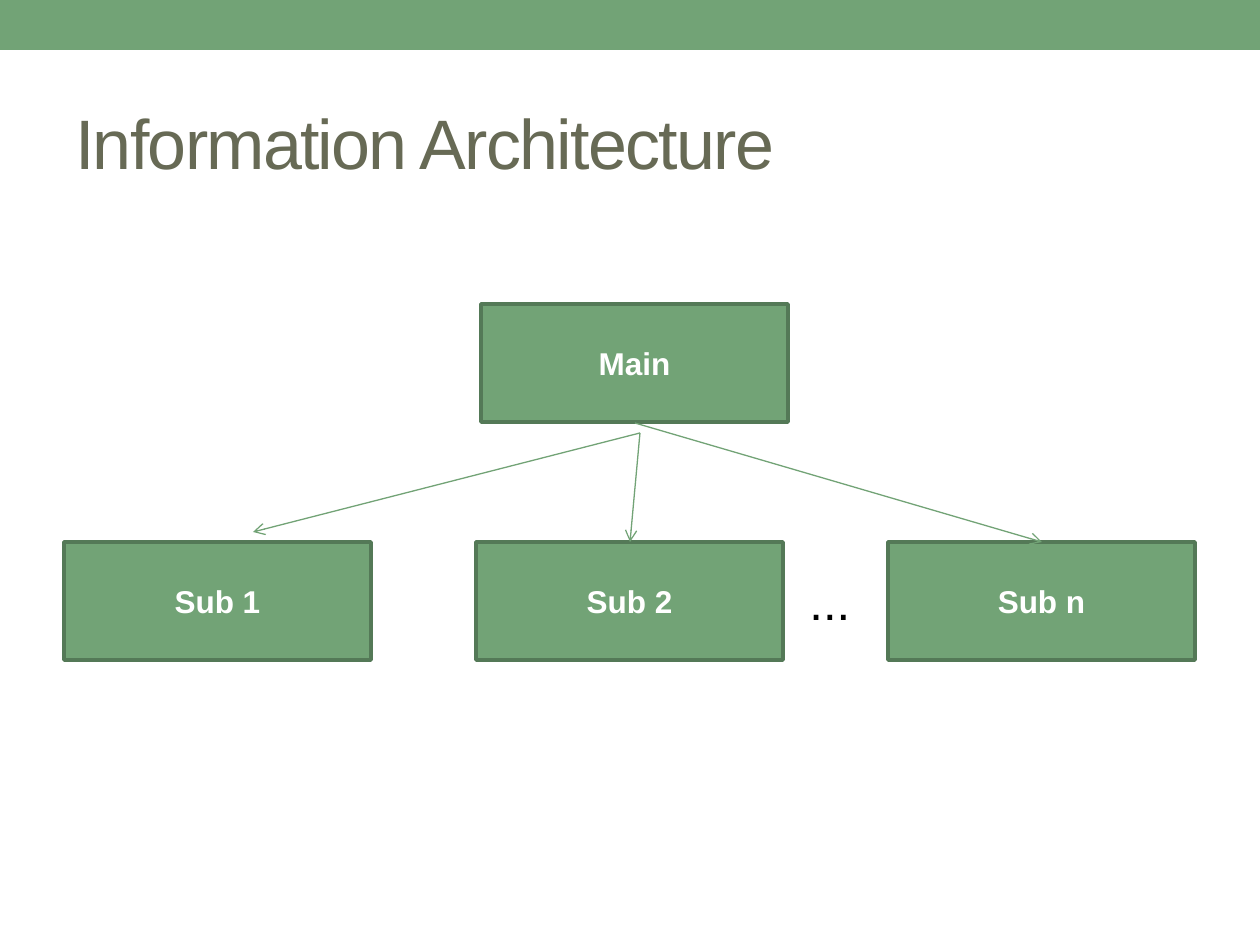
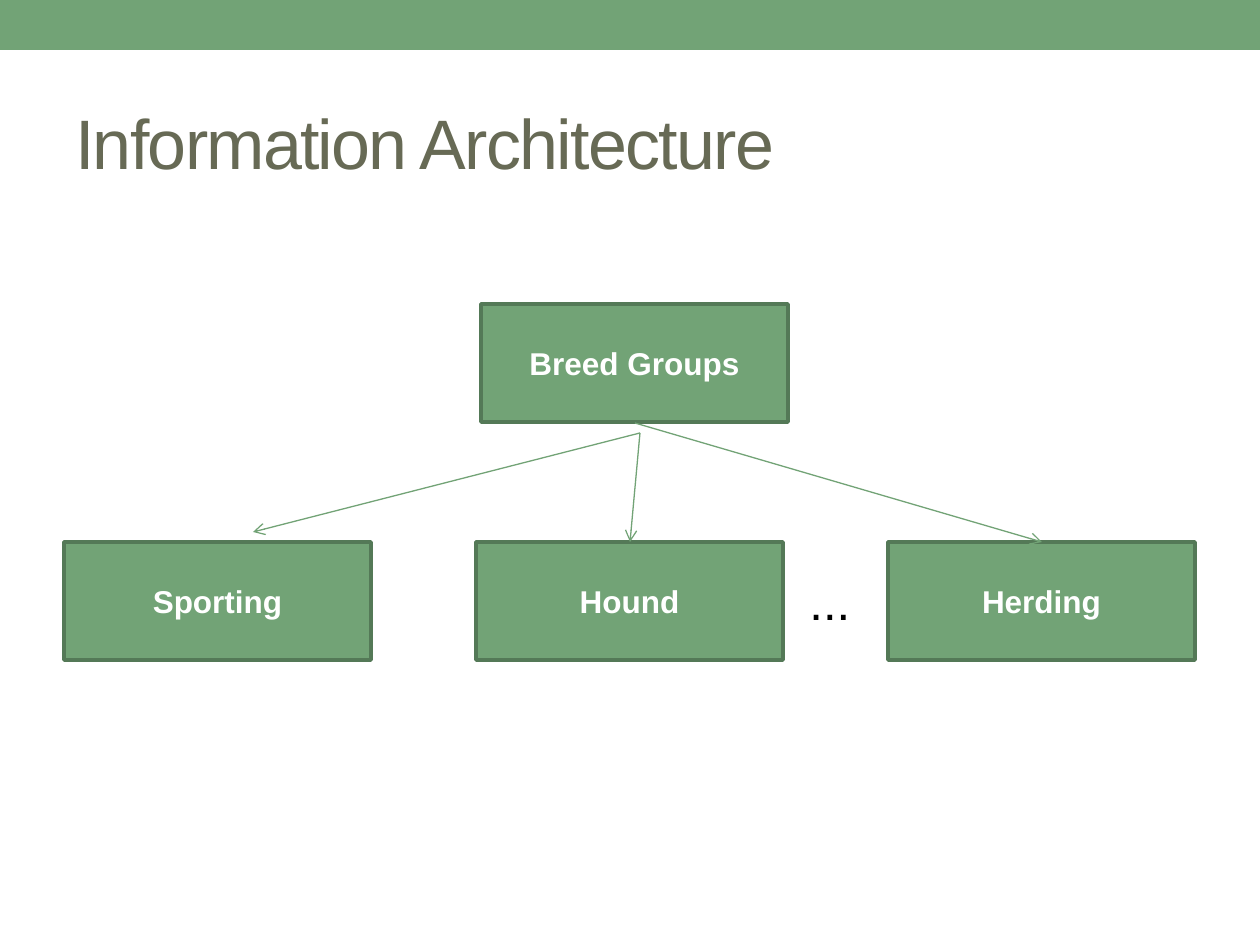
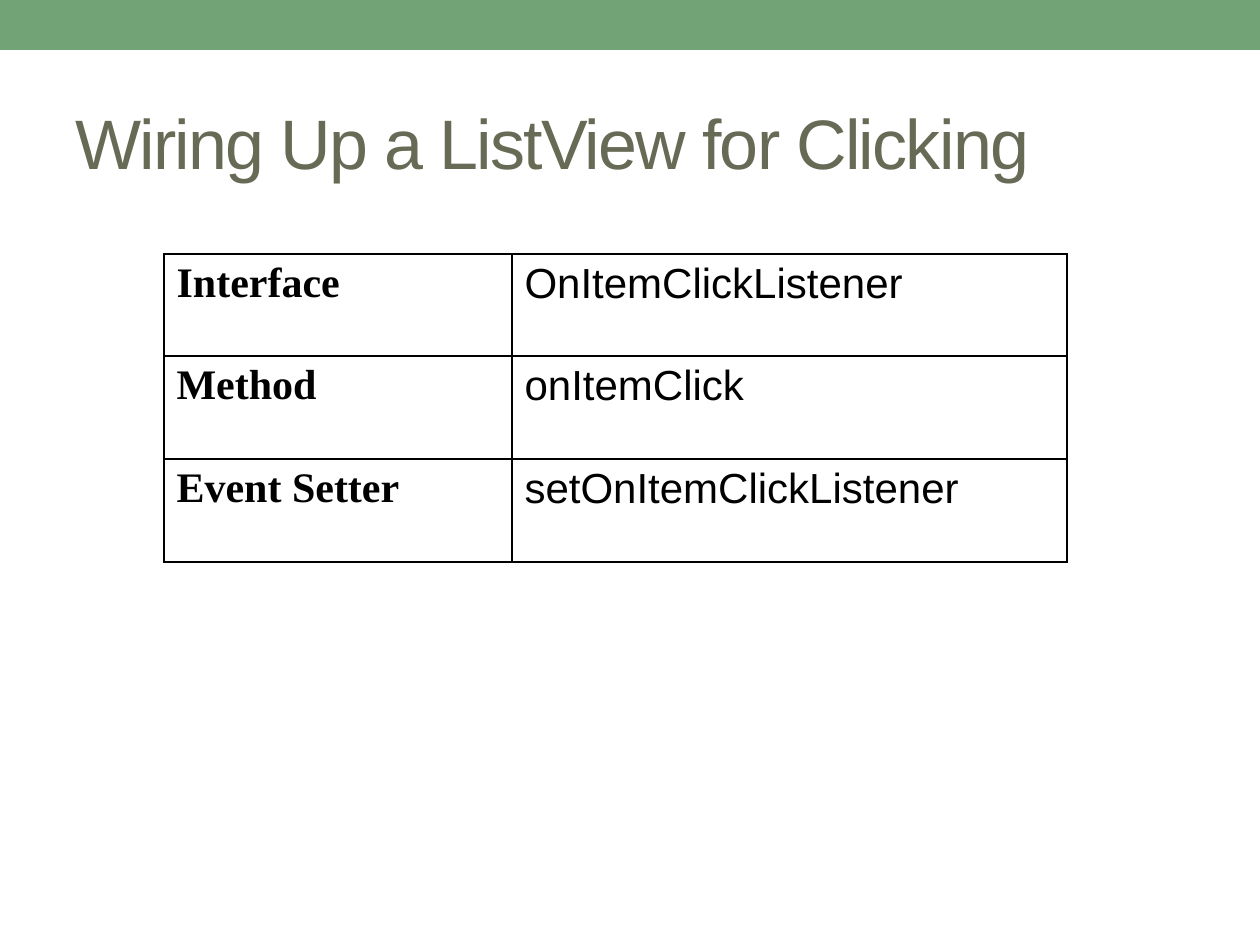
"""Build three slides: two information architecture trees and a listener table."""
from lxml import etree
from pptx import Presentation
from pptx.dml.color import RGBColor
from pptx.enum.shapes import MSO_CONNECTOR, MSO_SHAPE
from pptx.enum.text import MSO_ANCHOR, PP_ALIGN
from pptx.oxml.ns import qn
from pptx.util import Pt

RECT, STRAIGHT = MSO_SHAPE.RECTANGLE, MSO_CONNECTOR.STRAIGHT
TOP, MIDDLE = MSO_ANCHOR.TOP, MSO_ANCHOR.MIDDLE
LEFT, CENTER = PP_ALIGN.LEFT, PP_ALIGN.CENTER

GREEN, EDGE, OLIVE = "72A376", "547957", "676A55"
WHITE, BLACK = "FFFFFF", "000000"
SANS, SERIF = "Arial", "Times New Roman"

TREES = [
    ("Information Architecture", "Main", ["Sub 1", "Sub 2", "Sub n"]),
    ("Information Architecture", "Breed Groups", ["Sporting", "Hound", "Herding"]),
]
TABLE_TITLE = "Wiring Up a ListView for Clicking"
LISTENERS = [
    ("Interface", "OnItemClickListener"),
    ("Method", "onItemClick"),
    ("Event Setter", "setOnItemClickListener"),
]

SLIDE_W, SLIDE_H, BAND_H = 1260, 945, 50
TITLE_BOX = (63, 73, 1134, 136)
NODE_W, NODE_H = 307, 118
ROOT_AT = (481, 304)
SUB_LEFT, SUB_TOP, SUB_STEP = 64, 542, 412
ELLIPSIS_BOX = (797, 572, 81, 79)
ARROWS = [((640, 433), (253, 532)), ((640, 433), (630, 542)), ((635, 423), (1042, 542))]
TABLE_AT = (164, 254)
COL_WIDTHS, ROW_HEIGHTS = [348, 555], [102, 103, 103]


def px(n):
    return round(n * 914400 / 126)


def emu(*lengths):
    return [px(n) for n in lengths]


def rgb(color):
    return RGBColor.from_string(color)


def write(tf, text, size=18, font=SANS, color=BLACK, bold=False, align=LEFT,
          anchor=TOP, tracking=0, space=0, line=1.0):
    tf.word_wrap = True
    tf.vertical_anchor = anchor
    p = tf.paragraphs[0]
    p.alignment, p.line_spacing = align, line
    p.space_before = p.space_after = Pt(space)
    r = p.add_run()
    r.text = text
    r.font.size, r.font.name, r.font.bold = Pt(size), font, bold
    r.font.color.rgb = rgb(color)
    if tracking:
        r.font._element.set("spc", str(tracking * 100))


def add_rect(s, x, y, w, h, edge=None):
    sp = s.shapes.add_shape(RECT, *emu(x, y, w, h))
    sp.shadow.inherit = False
    sp.fill.solid()
    sp.fill.fore_color.rgb = rgb(GREEN)
    if edge:
        sp.line.color.rgb = rgb(edge)
        sp.line.width = Pt(2.08)
    else:
        sp.line.fill.background()
    return sp


def add_text(s, box, text, **fmt):
    write(s.shapes.add_textbox(*emu(*box)).text_frame, text, **fmt)


def add_node(s, x, y, text):
    sp = add_rect(s, x, y, NODE_W, NODE_H, EDGE)
    write(sp.text_frame, text, color=WHITE, bold=True, align=CENTER, anchor=MIDDLE)


def add_arrow(s, start, end):
    c = s.shapes.add_connector(STRAIGHT, *emu(*start, *end))
    c.line.color.rgb = rgb(GREEN)
    c.line.width = Pt(0.75)
    sp_pr = c._element.spPr
    etree.SubElement(sp_pr.find(qn("a:ln")), qn("a:tailEnd"), type="arrow")
    etree.SubElement(sp_pr, qn("a:effectLst"))


def add_borders(cell):
    tc_pr = cell._tc.get_or_add_tcPr()
    for side in "LRTB":
        ln = etree.SubElement(tc_pr, qn(f"a:ln{side}"), w=str(Pt(1)))
        fill = etree.SubElement(ln, qn("a:solidFill"))
        etree.SubElement(fill, qn("a:srgbClr"), val=BLACK)


def new_slide(prs, title):
    s = prs.slides.add_slide(prs.slide_layouts[6])
    add_rect(s, 0, 0, SLIDE_W, BAND_H)
    add_text(s, TITLE_BOX, title, size=40, color=OLIVE, anchor=MIDDLE, tracking=-1)
    return s


def tree_slide(prs, title, root, subs):
    s = new_slide(prs, title)
    add_text(s, ELLIPSIS_BOX, "...", size=28, space=6, line=0.9)
    add_node(s, *ROOT_AT, root)
    for i, sub in enumerate(subs):
        add_node(s, SUB_LEFT + i * SUB_STEP, SUB_TOP, sub)
    for start, end in ARROWS:
        add_arrow(s, start, end)


def table_slide(prs, title, rows):
    s = new_slide(prs, title)
    size = sum(COL_WIDTHS), sum(ROW_HEIGHTS)
    table = s.shapes.add_table(len(rows), len(COL_WIDTHS), *emu(*TABLE_AT, *size)).table
    table.first_row = table.horz_banding = False
    for col, width in zip(table.columns, COL_WIDTHS):
        col.width = px(width)
    for row, height, texts in zip(table.rows, ROW_HEIGHTS, rows):
        row.height = px(height)
        for cell, text, font in zip(row.cells, texts, (SERIF, SANS)):
            add_borders(cell)
            cell.fill.background()
            write(cell.text_frame, text, size=24, font=font, bold=font == SERIF)


def main():
    prs = Presentation()
    prs.slide_width, prs.slide_height = emu(SLIDE_W, SLIDE_H)
    for tree in TREES:
        tree_slide(prs, *tree)
    table_slide(prs, TABLE_TITLE, LISTENERS)
    prs.save("out.pptx")


if __name__ == "__main__":
    main()
